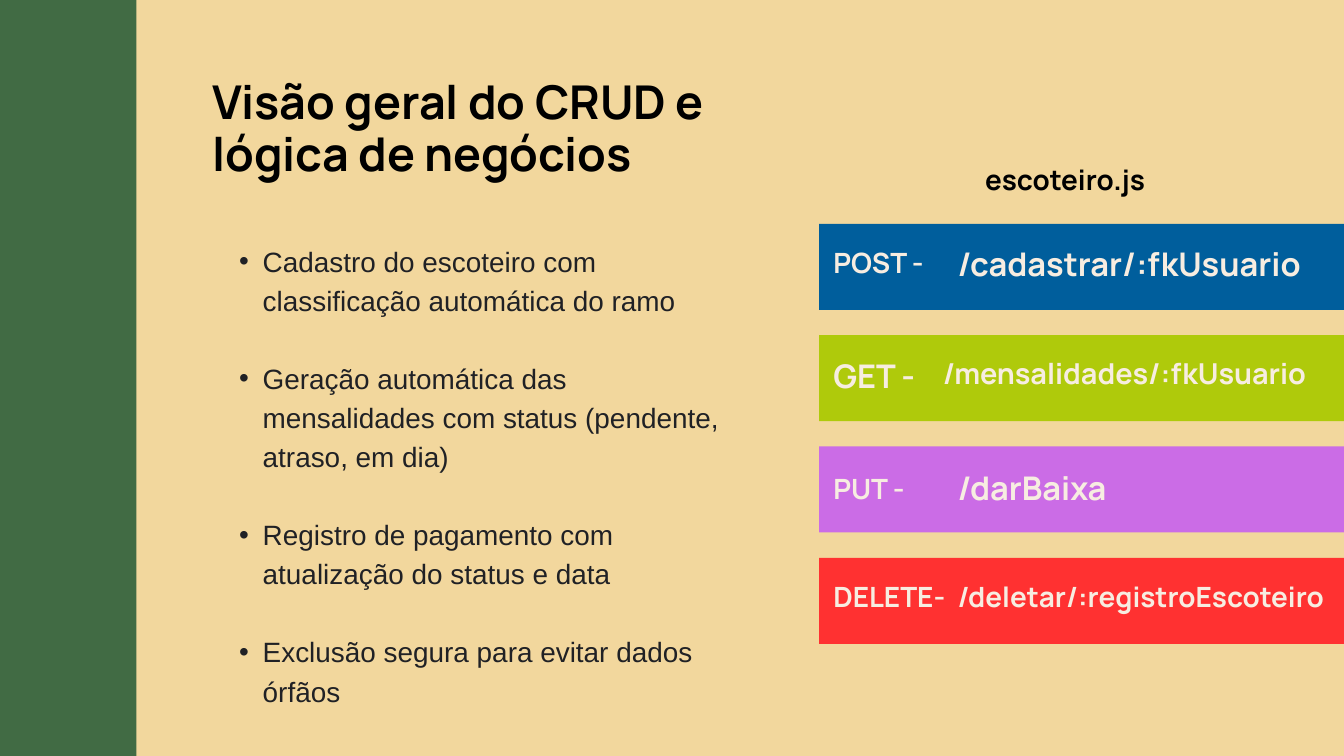
from dataclasses import dataclass

from lxml.etree import SubElement
from pptx import Presentation
from pptx.dml.color import RGBColor
from pptx.enum.shapes import MSO_SHAPE
from pptx.oxml.ns import qn
from pptx.util import Inches, Pt


@dataclass(frozen=True)
class Theme:
    """Colours, fonts and type sizes of the slide."""
    background: str = "F2D79D"
    sidebar: str = "416B44"
    heading: str = "000000"
    body: str = "202125"
    light: str = "F7EDE1"
    post: str = "005E9C"
    get: str = "AFCA0B"
    put: str = "CB6CE6"
    delete: str = "FF3131"
    heading_font: str = "Manrope"
    body_font: str = "Arial"
    title_size: float = 49.9
    large_size: float = 34.9
    medium_size: float = 30.9
    base_size: float = 29.9
    heading_leading: float = 1.13
    body_leading: float = 1.4


THEME = Theme()

BULLETS = [
    "Cadastro do escoteiro com classificação automática do ramo",
    "Geração automática das mensalidades com status (pendente, atraso, em dia)",
    "Registro de pagamento com atualização do status e data",
    "Exclusão segura para evitar dados órfãos",
]

ROUTES = [
    (THEME.post, ("POST -", 12.4, 3.68, THEME.base_size),
     ("/cadastrar/:fkUsuario", 14.25, 3.67, THEME.large_size)),
    (THEME.get, ("GET -", 12.4, 5.33, THEME.large_size),
     ("/mensalidades/:fkUsuario", 14.03, 5.33, THEME.medium_size)),
    (THEME.put, ("PUT -", 12.4, 7.04, THEME.base_size),
     ("/darBaixa", 14.25, 6.99, THEME.large_size)),
    (THEME.delete, ("DELETE-", 12.4, 8.65, THEME.base_size),
     ("/deletar/:registroEscoteiro", 14.25, 8.66, THEME.base_size)),
]


def add_bar(s, left, top, width, height, color):
    """Add a plain filled rectangle."""
    sp = s.shapes.add_shape(MSO_SHAPE.RECTANGLE, Inches(left), Inches(top),
                            Inches(width), Inches(height))
    sp.shadow.inherit = False
    sp.fill.solid()
    sp.fill.fore_color.rgb = RGBColor.from_string(color)
    sp.line.fill.background()


def add_frame(s, left, top, width, height):
    """Add a wrapping text box without margins and return its text frame."""
    tf = s.shapes.add_textbox(Inches(left), Inches(top),
                              Inches(width), Inches(height)).text_frame
    tf.word_wrap = True
    tf.margin_left = tf.margin_top = tf.margin_right = tf.margin_bottom = 0
    return tf


def write(p, text, *, size, color, font=THEME.heading_font, bold=True,
          leading=THEME.heading_leading):
    """Write one formatted run into a paragraph."""
    p.line_spacing = Pt(round(size * leading, 1))
    r = p.add_run()
    r.text = text
    r.font.name = font
    r.font.size = Pt(size)
    r.font.bold = bold
    r.font.color.rgb = RGBColor.from_string(color)


def add_label(s, text, left, top, size, color, height=0.55):
    """Add a bold heading-font label."""
    tf = add_frame(s, left, top, 8.44, height)
    write(tf.paragraphs[0], text, size=size, color=color)


def add_bullets(s, items, left, top, width, height):
    """Add a bulleted list with one line of space between items."""
    tf = add_frame(s, left, top, width, height)
    for i, item in enumerate(items):
        p = tf.add_paragraph() if i else tf.paragraphs[0]
        if i:
            p.space_before = Pt(THEME.base_size * THEME.body_leading)
        write(p, item, size=THEME.base_size, color=THEME.body,
              font=THEME.body_font, bold=False, leading=THEME.body_leading)
        pPr = p._p.get_or_add_pPr()
        pPr.set("marL", str(Inches(0.71)))
        pPr.set("indent", str(Inches(-0.35)))
        SubElement(pPr, qn("a:buFont"), typeface=THEME.body_font)
        SubElement(pPr, qn("a:buChar"), char="•")


def add_routes(s, routes, top=3.33, pitch=1.657):
    """Add one coloured bar per route with its method and address."""
    for i, (color, *labels) in enumerate(routes):
        add_bar(s, 12.19, top + i * pitch, 13.37, 1.28, color)
        for label in labels:
            add_label(s, *label, THEME.light)


def main():
    """Build the slide and save it."""
    prs = Presentation()
    prs.slide_width, prs.slide_height = Inches(20), Inches(11.25)
    s = prs.slides.add_slide(prs.slide_layouts[6])
    s.background.fill.solid()
    s.background.fill.fore_color.rgb = RGBColor.from_string(THEME.background)

    add_bar(s, -1.35, 0, 3.38, 12.04, THEME.sidebar)
    add_label(s, "Visão geral do CRUD e lógica de negócios", 3.16, 1.13,
              THEME.title_size, THEME.heading, height=1.62)
    add_bullets(s, BULLETS, 3.2, 3.55, 7.67, 6.92)
    add_label(s, "escoteiro.js", 14.66, 2.45, THEME.base_size, THEME.heading)
    add_routes(s, ROUTES)
    prs.save("out.pptx")


if __name__ == "__main__":
    main()
